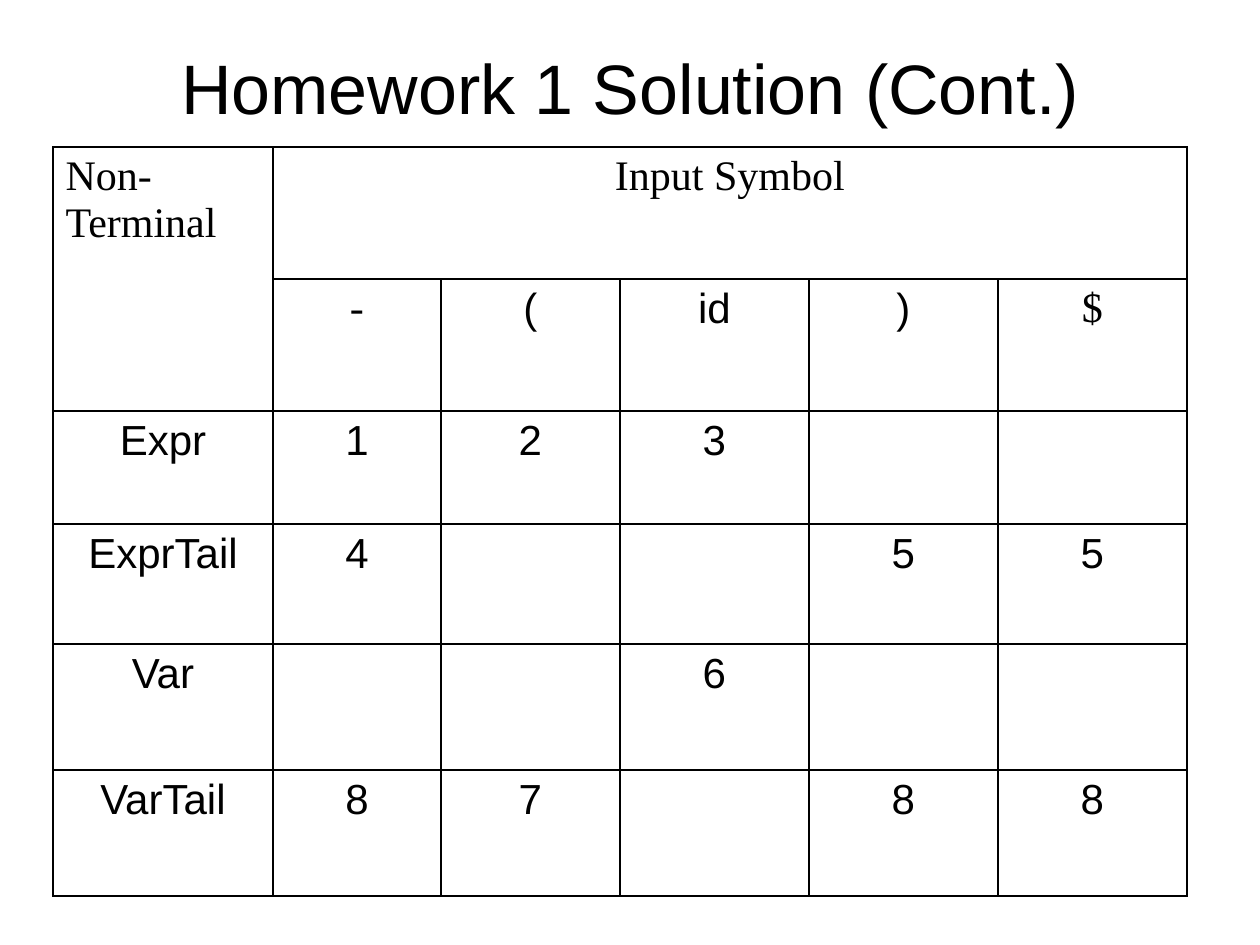
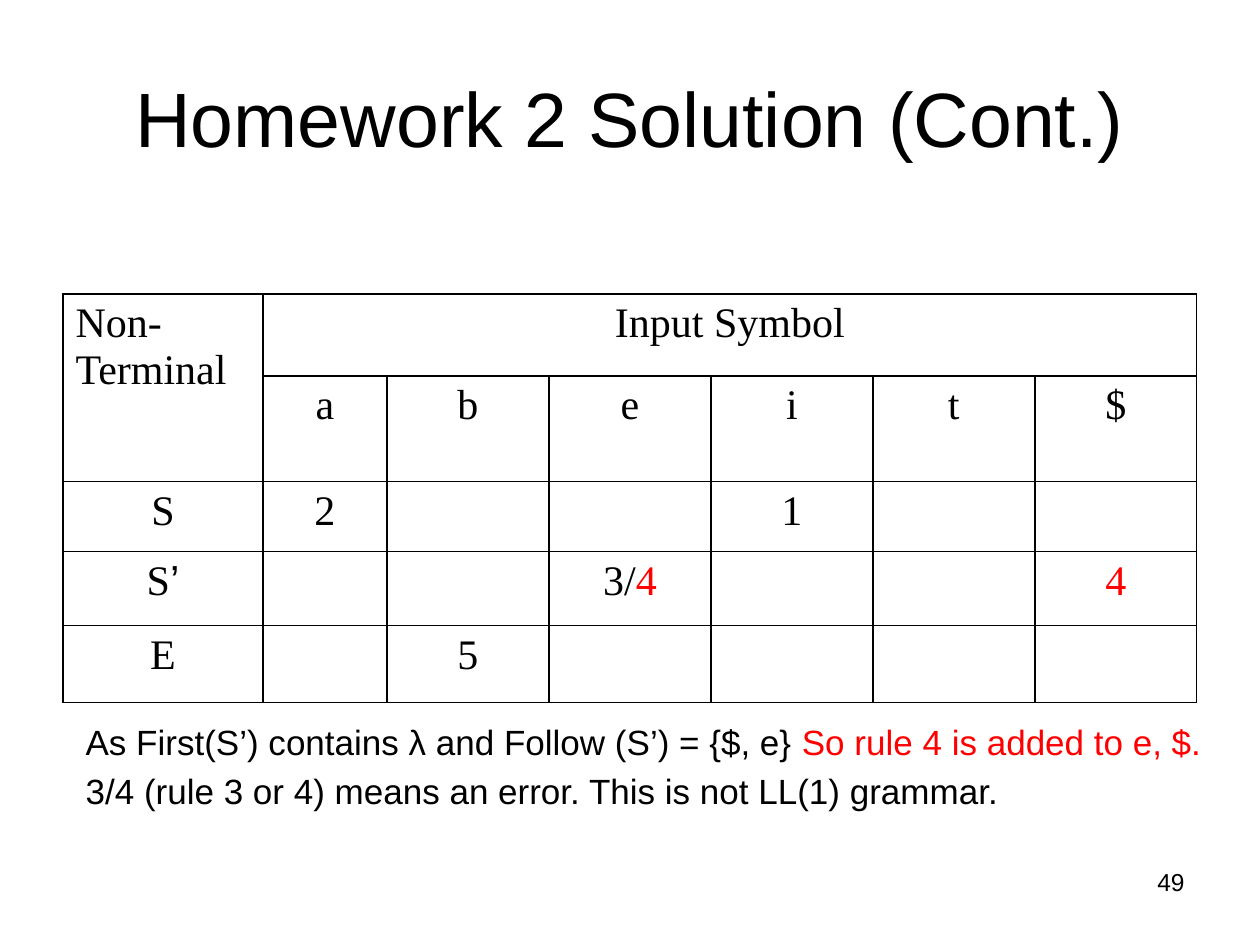
import pptx
import pptx.dml.color
import pptx.enum.text
import pptx.util
import pptx.oxml
import pptx.oxml.ns

EMU_PER_PX = 914400 / 126
COLORS = {"paper": "FFFFFF", "ink": "000000", "accent": "FF0000"}
SANS = "Arial"
SERIF = "Times New Roman"
ALIGN = pptx.enum.text.PP_ALIGN
CELL_SIZE = 24
NOTE_SIZE = 20
HANGING = 48


def px(length):
    return pptx.util.Emu(round(length * EMU_PER_PX))


def sans(text, color="ink"):
    return text, SANS, color


def serif(text, color="ink"):
    return text, SERIF, color


def add_runs(paragraph, runs, size, align):
    paragraph.alignment = align
    for text, font, color in runs:
        run = paragraph.add_run()
        run.text = text
        run.font.name = font
        run.font.size = pptx.util.Pt(size)
        run.font.color.rgb = pptx.dml.color.RGBColor.from_string(COLORS[color])


def place(region, box):
    region.left, region.top, region.width, region.height = map(px, box)


def add_slide(deck, layout_index):
    slide = deck.slides.add_slide(deck.slide_layouts[layout_index])
    slide.background.fill.solid()
    slide.background.fill.fore_color.rgb = pptx.dml.color.RGBColor.from_string(COLORS["paper"])
    return slide


def fill_title(slide, box, text, size):
    title = slide.shapes.title
    place(title, box)
    frame = title.text_frame
    frame.auto_size = pptx.enum.text.MSO_AUTO_SIZE.NONE
    frame.vertical_anchor = pptx.enum.text.MSO_ANCHOR.MIDDLE
    add_runs(frame.paragraphs[0], [sans(text)], size, ALIGN.CENTER)


def rule_cell(cell):
    properties = cell._tc.get_or_add_tcPr()
    for side in ("lnL", "lnR", "lnT", "lnB"):
        properties.append(pptx.oxml.parse_xml(
            f'<a:{side} {pptx.oxml.ns.nsdecls("a")} w="12700"><a:solidFill>'
            f'<a:srgbClr val="{COLORS["ink"]}"/></a:solidFill></a:{side}>'))
    cell.fill.background()


def add_parse_table(slide, left, top, widths, heights, symbols, entries):
    box = (left, top, sum(widths), sum(heights))
    table = slide.shapes.add_table(len(heights), len(widths), *map(px, box)).table
    table.first_row = table.horz_banding = False
    for column, width in zip(table.columns, widths):
        column.width = px(width)
    for row, height in zip(table.rows, heights):
        row.height = px(height)
    for cell in table.iter_cells():
        rule_cell(cell)

    corner = table.cell(0, 0)
    corner.merge(table.cell(1, 0))
    add_runs(corner.text_frame.paragraphs[0], [serif("Non-")], CELL_SIZE, ALIGN.LEFT)
    add_runs(corner.text_frame.add_paragraph(), [serif("Terminal")], CELL_SIZE, ALIGN.LEFT)

    heading = table.cell(0, 1)
    heading.merge(table.cell(0, len(widths) - 1))
    add_runs(heading.text_frame.paragraphs[0], [serif("Input Symbol")], CELL_SIZE, ALIGN.CENTER)

    for row_index, row in enumerate([[[]] + symbols] + entries, start=1):
        for column_index, runs in enumerate(row):
            if runs:
                paragraph = table.cell(row_index, column_index).text_frame.paragraphs[0]
                add_runs(paragraph, runs, CELL_SIZE, ALIGN.CENTER)


def fill_explanation(slide, box, lines):
    explanation = slide.placeholders[1]
    place(explanation, box)
    frame = explanation.text_frame
    frame.auto_size = pptx.enum.text.MSO_AUTO_SIZE.NONE
    for index, runs in enumerate(lines):
        paragraph = frame.add_paragraph() if index else frame.paragraphs[0]
        add_runs(paragraph, runs, NOTE_SIZE, ALIGN.LEFT)
        paragraph.space_before = pptx.util.Pt(4)
        properties = paragraph._p.get_or_add_pPr()
        properties.set("marL", str(px(HANGING)))
        properties.set("indent", str(px(-HANGING)))
        properties.append(pptx.oxml.parse_xml(f'<a:buNone {pptx.oxml.ns.nsdecls("a")}/>'))


def add_page_number(slide, box, number):
    frame = slide.shapes.add_textbox(*map(px, box)).text_frame
    frame.word_wrap = True
    add_runs(frame.paragraphs[0], [sans(number)], 14, ALIGN.RIGHT)


def cells(style, *texts):
    return [[style(text)] if text else [] for text in texts]


def build_homework_1(deck):
    slide = add_slide(deck, 5)
    fill_title(slide, (63, 38, 1134, 98), "Homework 1 Solution (Cont.)", 40)
    add_parse_table(
        slide, 53, 147,
        [220, 168, 179] + [189] * 3,
        [132, 132, 113, 120, 126, 126],
        cells(serif, "-") + cells(sans, "(", "id", ")") + cells(serif, "$"),
        [
            cells(sans, "Expr", "1", "2", "3", "", ""),
            cells(sans, "ExprTail", "4", "", "", "5", "5"),
            cells(sans, "Var", "", "", "6", "", ""),
            cells(sans, "VarTail", "8", "7", "", "8", "8"),
        ])


def build_homework_2(deck):
    slide = add_slide(deck, 1)
    fill_title(slide, (63, 38, 1134, 157), "Homework 2 Solution (Cont.)", 44)
    s_prime = [[serif("S"), sans("’")], [], [], [serif("3/"), serif("4", "accent")],
               [], [], [serif("4", "accent")]]
    add_parse_table(
        slide, 63, 294,
        [200, 124] + [162] * 5,
        [82, 105, 70, 74, 77],
        cells(serif, "a", "b", "e", "i", "t", "$"),
        [
            cells(serif, "S", "2", "", "", "1", "", ""),
            s_prime,
            cells(serif, "E", "", "5", "", "", "", ""),
        ])
    fill_explanation(slide, (73, 714, 1155, 151), [
        [sans("As First(S’) contains λ and Follow (S’) = {$, e} "),
         sans("So rule 4 is added to e, $.", "accent")],
        [sans("3/4 (rule 3 or 4) means an error. This is not LL(1) grammar.")],
    ])
    add_page_number(slide, (903, 861, 294, 65), "49")


def main():
    deck = pptx.Presentation()
    deck.slide_width, deck.slide_height = px(1260), px(945)
    build_homework_1(deck)
    build_homework_2(deck)
    deck.save("out.pptx")


if __name__ == "__main__":
    main()
